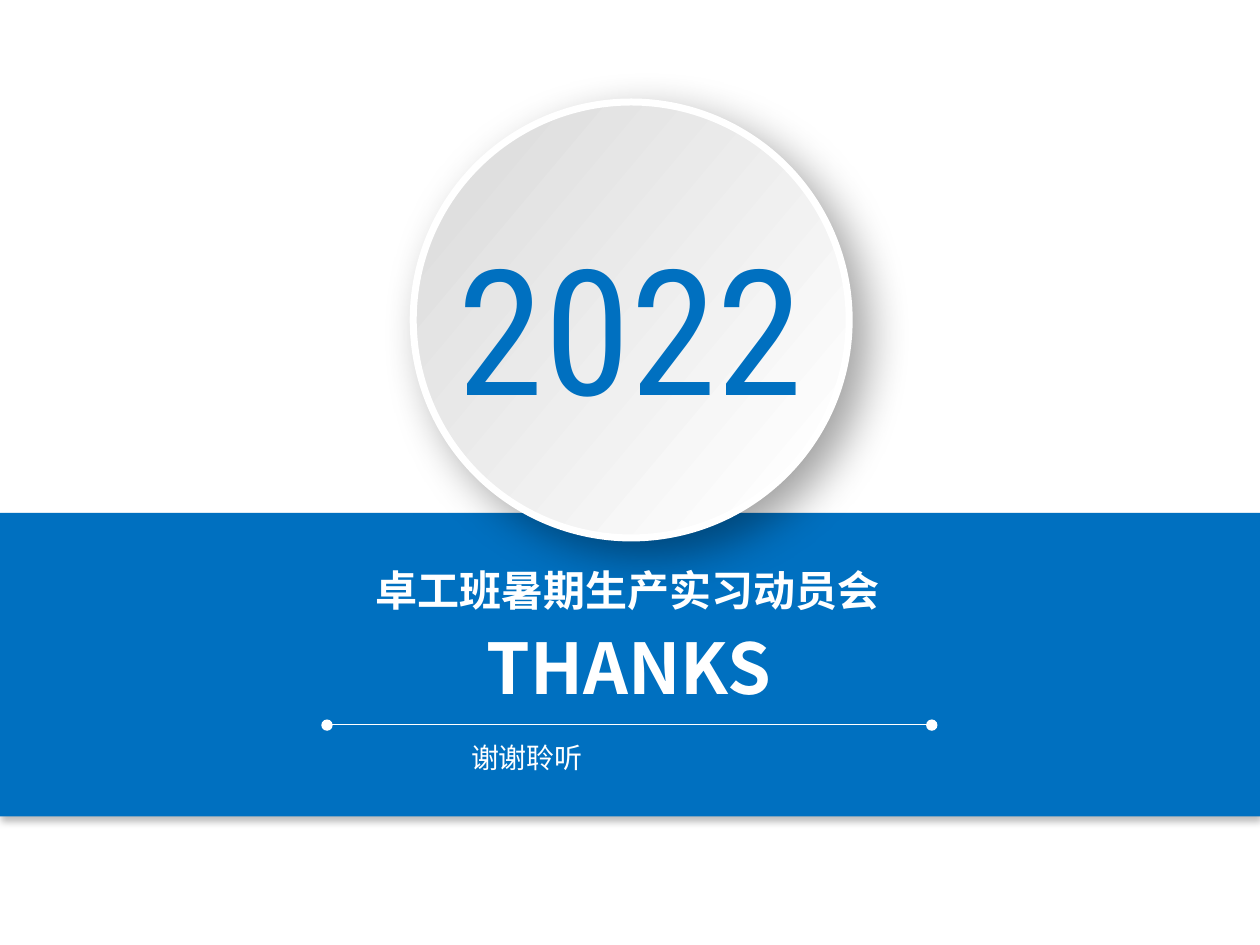
from lxml import etree
from pptx import Presentation
from pptx import util as u
from pptx.dml.color import RGBColor
from pptx.enum import shapes, text
from pptx.oxml.ns import qn

BLUE = RGBColor(0x00, 0x70, 0xC0)
WHITE = RGBColor(0xFF, 0xFF, 0xFF)
GREY = RGBColor(0xD9, 0xD9, 0xD9)
SANS = "Noto Sans CJK SC"


def add_shadow(shape, opacity, blur, distance, angle):
    shape.shadow.inherit = False
    effects = shape.element.spPr.find(qn("a:effectLst"))
    shadow = etree.SubElement(
        effects, qn("a:outerShdw"), blurRad=str(u.Pt(blur)), dist=str(u.Pt(distance)),
        dir=str(angle * 60000), algn="ctr", rotWithShape="0")
    color = etree.SubElement(shadow, qn("a:srgbClr"), val="000000")
    etree.SubElement(color, qn("a:alpha"), val=str(opacity * 1000))


def add_label(label, left, top, width, height, size, font, color, bold, align, wrap):
    box = slide.shapes.add_textbox(
        u.Inches(left), u.Inches(top), u.Inches(width), u.Inches(height))
    frame = box.text_frame
    frame.word_wrap = wrap
    frame.auto_size = text.MSO_AUTO_SIZE.SHAPE_TO_FIT_TEXT
    paragraph = frame.paragraphs[0]
    paragraph.alignment = align
    run = paragraph.add_run()
    run.text = label
    run.font.size = u.Pt(size)
    run.font.name = font
    run.font.bold = bold
    run.font.color.rgb = color
    # East Asian characters take their own typeface
    etree.SubElement(run.font._element, qn("a:ea"), typeface=font)


presentation = Presentation()
presentation.slide_width = u.Inches(10)
presentation.slide_height = u.Inches(7.5)
slide = presentation.slides.add_slide(presentation.slide_layouts[6])

# Blue band
band = slide.shapes.add_shape(
    shapes.MSO_SHAPE.RECTANGLE, 0, u.Inches(4.07), u.Inches(10), u.Inches(2.41))
band.fill.solid()
band.fill.fore_color.rgb = BLUE
band.line.fill.background()
add_shadow(band, 25, 4, 3, 90)

# Year disc
disc = slide.shapes.add_shape(
    shapes.MSO_SHAPE.OVAL, u.Inches(3.28), u.Inches(0.81), u.Inches(3.46), u.Inches(3.46))
disc.fill.gradient()
disc.fill.gradient_angle = 320
for stop, color, position in zip(disc.fill.gradient_stops, (GREY, WHITE), (0, 0.92)):
    stop.color.rgb = color
    stop.position = position
disc.line.color.rgb = WHITE
disc.line.width = u.Pt(4)
add_shadow(disc, 36, 26, 12, 45)

# Year and closing word
CENTER = text.PP_ALIGN.CENTER
add_label("2022", 3.12, 1.7, 3.77, 1.78, 100, "Roboto Condensed", BLUE, False, CENTER, True)
add_label("THANKS", 3.05, 4.91, 3.88, 0.77, 40, SANS, WHITE, True, CENTER, True)

# Divider with a dot at each end
divider = slide.shapes.add_connector(
    shapes.MSO_CONNECTOR.STRAIGHT,
    u.Inches(2.6), u.Inches(5.75), u.Inches(7.39), u.Inches(5.75))
divider.line.color.rgb = WHITE
divider.line.width = u.Pt(0.75)
etree.SubElement(divider.element.spPr, qn("a:effectLst"))
for left in (2.55, 7.35):
    dot = slide.shapes.add_shape(
        shapes.MSO_SHAPE.OVAL, u.Inches(left), u.Inches(5.71), u.Inches(0.09), u.Inches(0.09))
    dot.fill.solid()
    dot.fill.fore_color.rgb = WHITE
    dot.line.fill.background()
    dot.shadow.inherit = False

# Thanks line and event title
add_label("谢谢聆听", 3.64, 5.83, 2.68, 0.37, 16, SANS, WHITE, False,
          text.PP_ALIGN.JUSTIFY, True)
add_label("卓工班暑期生产实习动员会", 2.86, 4.43, 4.24, 0.5, 24, SANS, WHITE, True, CENTER, False)

presentation.save("out.pptx")
